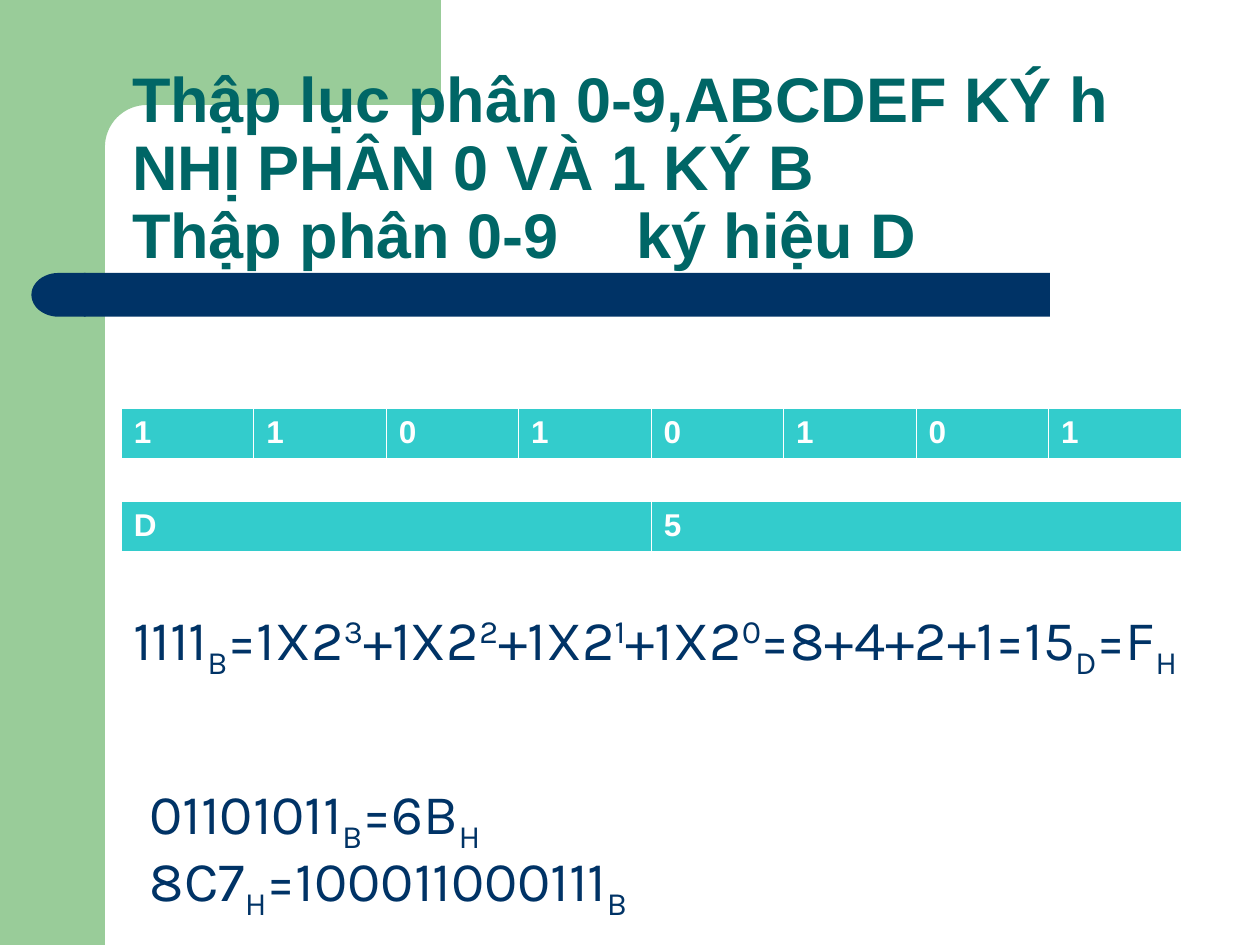
from math import cos, pi, sin

from lxml.etree import SubElement
from pptx import Presentation
from pptx.dml.color import RGBColor
from pptx.enum.shapes import MSO_SHAPE as Kind
from pptx.enum.text import MSO_ANCHOR as Anchor
from pptx.oxml.ns import qn
from pptx.util import Pt

GREEN = RGBColor(0x99, 0xCC, 0x99)
NAVY = RGBColor(0x00, 0x33, 0x66)
TEAL = RGBColor(0x00, 0x66, 0x66)
CYAN = RGBColor(0x33, 0xCC, 0xCC)
WHITE = RGBColor(0xFF, 0xFF, 0xFF)

TITLE = "Thập lục phân 0-9,ABCDEF KÝ h\vNHỊ PHÂN 0 VÀ 1 KÝ B\vThập phân 0-9\tký hiệu D"
TITLE_TAB = 288

# top, height, cells
TABLES = [(233.3, 29.2, "11010101"), (286.6, 28.8, "D5")]
TABLE_LEFT, TABLE_WIDTH = 69.3, 605.6
BORDERS = [("a:lnL", 0.45), ("a:lnR", 0.45), ("a:lnT", 0.45), ("a:lnB", 1.47)]

# left, top, height, text; ^ raises and _ lowers the next letter
SUMS = [
    (69.1, 342, 95, "1111_B=1X2^3+1X2^2+1X2^1+1X2^0=8+4+2+1=15_D=F_H"),
    (78.5, 479.5, 51, "8C7_H=100011000111_B"),
    (78.5, 441.4, 51, "01101011_B=6B_H"),
]
SUM_WIDTH = 620.6
SHIFTS = {"^": "30000", "_": "-25000"}


def paint(shape, color):
    shape.shadow.inherit = False
    shape.fill.solid()
    shape.fill.fore_color.rgb = color
    shape.line.fill.background()


def add_block(slide, kind, box, color):
    shape = slide.shapes.add_shape(kind, *map(Pt, box))
    paint(shape, color)
    return shape


def add_corner(slide):
    """Green band at the top whose lower edge curves into the side bar."""
    mid, radius, steps = 84, 24, 16
    turns = [pi / 2 * i / steps for i in range(steps + 1)]
    arc = [(mid - radius * sin(t), mid - radius * cos(t)) for t in turns]
    points = [(252, 60), *arc, (60, 92), (36, 92), (36, 0)]
    pen = slide.shapes.build_freeform(252, 0, scale=Pt(1))
    # Finer units keep the curve smooth
    pen = slide.shapes.build_freeform(25200, 0, scale=Pt(1) / 100)
    pen.add_line_segments([(round(x * 100), round(y * 100)) for x, y in points])
    paint(pen.convert_to_shape(), GREEN)


def style(font, name, size, color, bold=False):
    font.name, font.size, font.bold = name, Pt(size), bold
    font.color.rgb = color


def add_text(slide, *box):
    frame = slide.shapes.add_textbox(*map(Pt, box)).text_frame
    frame.word_wrap = True
    return frame


def add_title(slide):
    frame = add_text(slide, 68.4, 38.9, 606.2, 120.2)
    frame.vertical_anchor = Anchor.BOTTOM
    para = frame.paragraphs[0]
    para.text = TITLE
    para.line_spacing = 0.9
    tabs = SubElement(para._p.get_or_add_pPr(), qn("a:tabLst"))
    SubElement(tabs, qn("a:tab"), pos=str(Pt(TITLE_TAB)), algn="l")
    for run in para.runs:
        style(run.font, "Arial", 36, TEAL, True)


def add_borders(cell):
    props = cell._tc.get_or_add_tcPr()
    for spot, (tag, width) in enumerate(BORDERS):
        line = SubElement(props, qn(tag), w=str(Pt(width)))
        fill = SubElement(line, qn("a:solidFill"))
        SubElement(fill, qn("a:srgbClr"), val=str(WHITE))
        props.insert(spot, line)


def add_row(slide, top, height, marks):
    box = (TABLE_LEFT, top, TABLE_WIDTH, height)
    table = slide.shapes.add_table(1, len(marks), *map(Pt, box)).table
    for col, cell, mark in zip(table.columns, table.rows[0].cells, marks):
        col.width = Pt(TABLE_WIDTH / len(marks))
        cell.text = mark
        cell.fill.solid()
        cell.fill.fore_color.rgb = CYAN
        style(cell.text_frame.paragraphs[0].runs[0].font, "Arial", 18, WHITE, True)
        add_borders(cell)


def split(text):
    """Cut marked text into (piece, shift) pairs."""
    parts, shift = [], None
    for char in text:
        if char in SHIFTS:
            shift = SHIFTS[char]
        elif shift:
            parts.append((char, shift))
            shift = None
        elif parts and parts[-1][1] is None:
            parts[-1] = (parts[-1][0] + char, None)
        else:
            parts.append((char, None))
    return parts


def add_sum(slide, left, top, height, text):
    para = add_text(slide, left, top, SUM_WIDTH, height).paragraphs[0]
    for piece, shift in split(text):
        run = para.add_run()
        run.text = piece
        style(run.font, "Karla", 32, NAVY)
        if shift:
            run._r.get_or_add_rPr().set("baseline", shift)


def main():
    deck = Presentation()
    deck.slide_width, deck.slide_height = Pt(720), Pt(540)
    slide = deck.slides.add_slide(deck.slide_layouts[6])

    add_block(slide, Kind.RECTANGLE, (0, 0, 60, 540), GREEN)
    add_corner(slide)
    bar = add_block(slide, Kind.ROUNDED_RECTANGLE, (48, 156, 552, 25), NAVY)
    bar.adjustments[0] = 0
    cap = add_block(slide, Kind.FLOWCHART_DELAY, (18, 156, 31, 25), NAVY)
    cap._element.spPr.get_or_add_xfrm().set("flipH", "1")

    add_title(slide)
    for row in TABLES:
        add_row(slide, *row)
    for item in SUMS:
        add_sum(slide, *item)
    deck.save("out.pptx")


if __name__ == "__main__":
    main()
